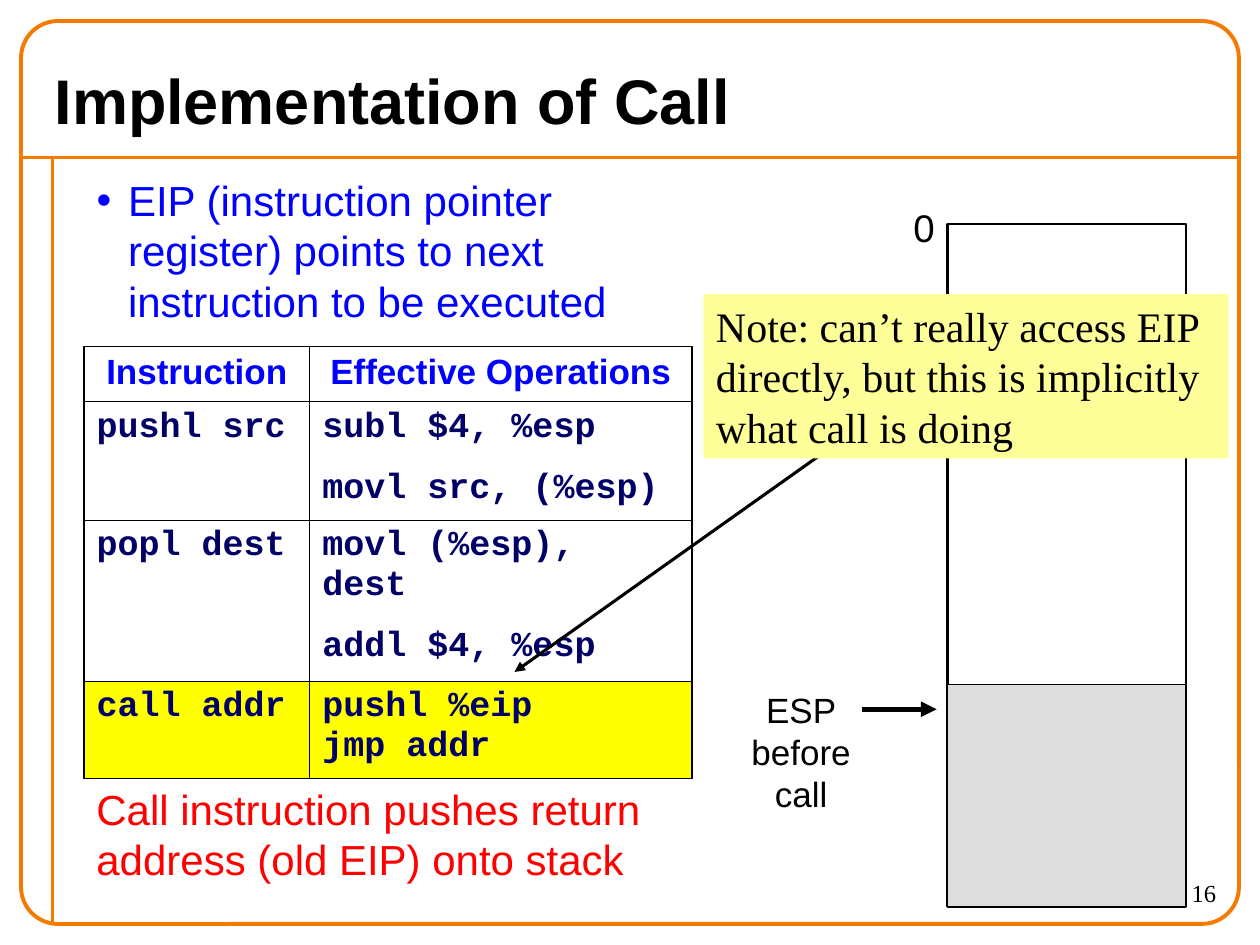
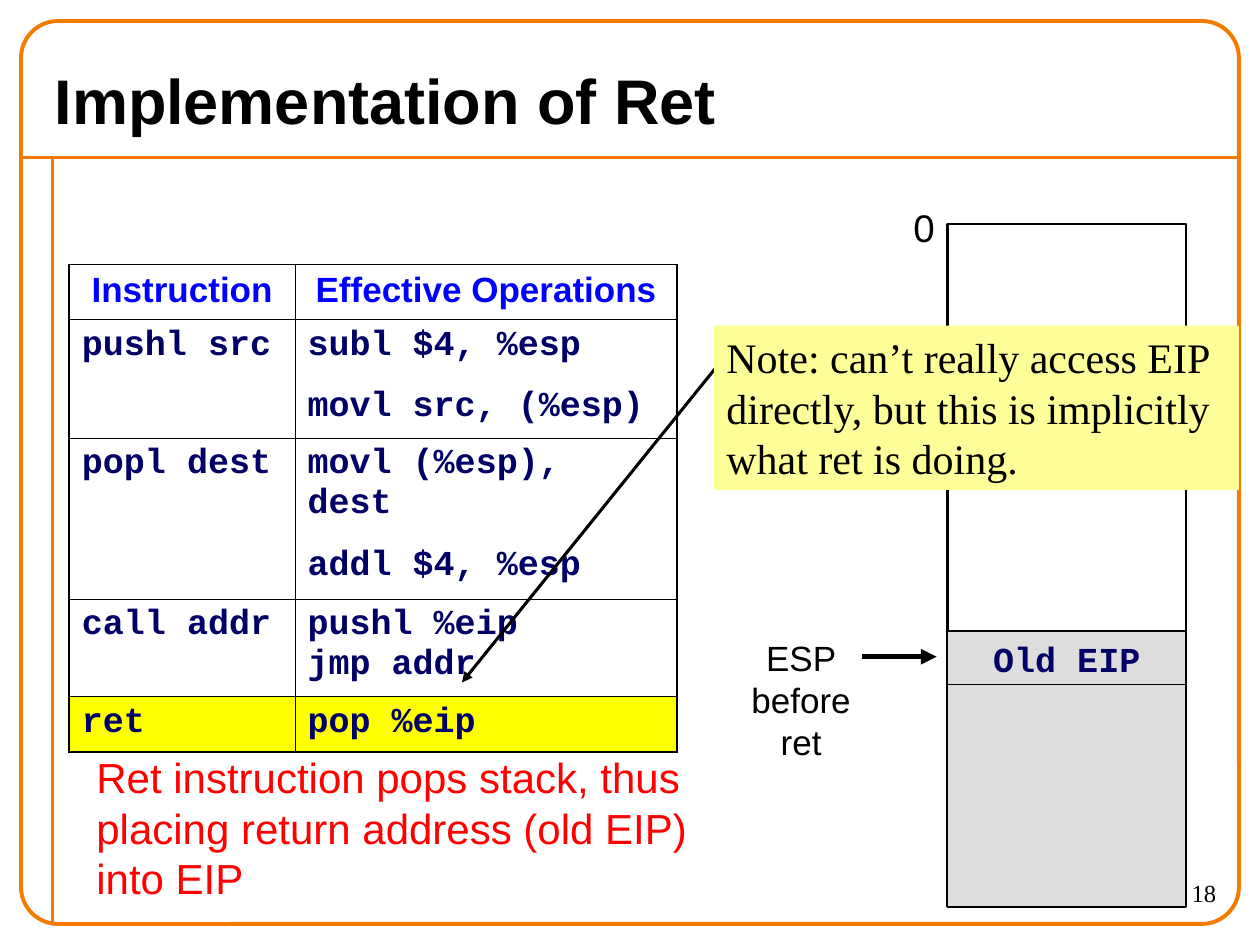
from dataclasses import dataclass

from lxml.etree import SubElement
from pptx import Presentation
from pptx.dml.color import RGBColor
from pptx.enum.shapes import MSO_CONNECTOR as Connector, MSO_SHAPE as Preset
from pptx.enum.text import MSO_ANCHOR as Anchor, MSO_AUTO_SIZE as AutoSize, PP_ALIGN as Align
from pptx.oxml.ns import qn
from pptx.util import Inches, Pt


@dataclass(frozen=True)
class TextStyle:
    size: float
    font: str
    color: str
    bold: bool = False


class Theme:
    orange, black, gray = "F47A00", "000000", "DDDDDD"
    yellow, pale_yellow = "FFFF00", "FFFF99"
    title = TextStyle(36, "Arial", black, True)
    bullet = TextStyle(24, "Arial", "0000FF")
    summary = TextStyle(24, "Arial", "FF0000")
    note = TextStyle(24, "Times New Roman", black)
    number = TextStyle(14, "Times New Roman", black)
    header = TextStyle(20, "Arial", "0000FF", True)
    code = TextStyle(20, "Courier New", "000066", True)
    label = TextStyle(20, "Arial", black)
    origin = TextStyle(22, "Arial", black)
    outer_border, inner_border = 1.08, 0.45
    code_gap = 12.5


# The slide is a grid of 120 columns by 90 rows
SLIDE_WIDTH, SLIDE_HEIGHT = Inches(10), Inches(7.5)
CELL = SLIDE_WIDTH / 120

STACK_LEFT, STACK_WIDTH = 90.25, 22.7
STACK_TOP, STACK_BOTTOM = 21.35, 86.35
USED_TOP = 65.2
EIP_HEIGHT = 5.1
COLUMN_WIDTHS = (21.5, 36.4)

# Instruction, its operations (one paragraph each), row height
INSTRUCTIONS = [
    ("pushl src", ["subl $4, %esp", "movl src, (%esp)"], 11.3),
    ("popl dest", ["movl (%esp), dest", "addl $4, %esp"], 15.35),
    ("call addr", ["pushl %eip\njmp addr"], 9.25),
    ("ret", ["pop %eip"], 5.25),
]
HEADER = ("Instruction", ["Effective Operations"], 5.25)


def grid(*counts):
    return [round(count * CELL) for count in counts]


def rgb(color):
    return RGBColor.from_string(color)


# Text
def write(text_frame, paragraphs, style, align=Align.LEFT, space_before=0):
    for index, text in enumerate(paragraphs):
        paragraph = text_frame.paragraphs[0] if index == 0 else text_frame.add_paragraph()
        paragraph.alignment = align
        paragraph.space_before = Pt(space_before)
        for line_index, line in enumerate(text.split("\n")):
            if line_index:
                paragraph.add_line_break()
            run = paragraph.add_run()
            run.text = line
            run.font.size = Pt(style.size)
            run.font.name = style.font
            run.font.bold = style.bold
            run.font.color.rgb = rgb(style.color)


def add_text(slide, box, text, style, align=Align.LEFT, space_before=0):
    text_frame = slide.shapes.add_textbox(*grid(*box)).text_frame
    text_frame.word_wrap = True
    write(text_frame, [text], style, align, space_before)


def fill_placeholder(placeholder, box, text, style, anchor):
    placeholder.left, placeholder.top, placeholder.width, placeholder.height = grid(*box)
    text_frame = placeholder.text_frame
    text_frame.auto_size = AutoSize.NONE
    text_frame.vertical_anchor = anchor
    write(text_frame, [text], style)
    return text_frame


def add_bullet(paragraph, color):
    properties = paragraph._p.get_or_add_pPr()
    indent = Inches(0.25)
    properties.set("marL", str(indent))
    properties.set("indent", str(-indent))
    bullet_color = SubElement(properties, qn("a:buClr"))
    SubElement(bullet_color, qn("a:srgbClr"), val=color)
    SubElement(properties, qn("a:buChar"), char="•")


# Shapes and lines
def add_box(slide, box, fill=None, line=None, width=0.75, preset=Preset.RECTANGLE):
    shape = slide.shapes.add_shape(preset, *grid(*box))
    shape.shadow.inherit = False
    if fill:
        shape.fill.solid()
        shape.fill.fore_color.rgb = rgb(fill)
    else:
        shape.fill.background()
    if line:
        shape.line.color.rgb = rgb(line)
        shape.line.width = Pt(width)
    else:
        shape.line.fill.background()
    shape.text_frame.vertical_anchor = Anchor.TOP
    return shape


def add_line(slide, start, end, color, width, arrow=False):
    connector = slide.shapes.add_connector(Connector.STRAIGHT, *grid(*start, *end))
    connector.line.color.rgb = rgb(color)
    connector.line.width = Pt(width)
    if arrow:
        SubElement(connector.line._get_or_add_ln(), qn("a:tailEnd"), type="triangle")
    SubElement(connector.element.spPr, qn("a:effectLst"))
    return connector


# Instruction table
def set_borders(cell, outer_sides):
    properties = cell._tc.get_or_add_tcPr()
    for side in "LRTB":
        width = Theme.outer_border if side in outer_sides else Theme.inner_border
        border = SubElement(properties, qn(f"a:ln{side}"), w=str(Pt(width)))
        fill = SubElement(border, qn("a:solidFill"))
        SubElement(fill, qn("a:srgbClr"), val=Theme.black)


def add_instruction_table(slide, left, top, instructions):
    rows = [HEADER, *instructions]
    last = len(rows) - 1
    size = sum(COLUMN_WIDTHS), sum(height for _, _, height in rows)
    table = slide.shapes.add_table(len(rows), 2, *grid(left, top, *size)).table
    table.first_row = table.horz_banding = False
    for column, width in zip(table.columns, grid(*COLUMN_WIDTHS)):
        column.width = width
    for row, (instruction, operations, height) in enumerate(rows):
        table.rows[row].height = grid(height)[0]
        style, align = (Theme.code, Align.LEFT) if row else (Theme.header, Align.CENTER)
        for column, paragraphs in enumerate(([instruction], operations)):
            cell = table.cell(row, column)
            set_borders(cell, "LR"[column] + ("T" if row == 0 else "B" if row == last else ""))
            if row == last:
                cell.fill.solid()
                cell.fill.fore_color.rgb = rgb(Theme.yellow)
            else:
                cell.fill.background()
            write(cell.text_frame, paragraphs, style, align, Theme.code_gap)


# Stack diagram
def add_stack(slide, pointer_label, pointer_top):
    add_box(slide, (STACK_LEFT, STACK_TOP, STACK_WIDTH, STACK_BOTTOM - STACK_TOP),
            line=Theme.black, width=1.5)
    add_text(slide, (66, pointer_top, 20.6, 13.2), pointer_label, Theme.label,
             Align.CENTER, Theme.code_gap)
    arrow_row = pointer_top + 2.55
    add_line(slide, (82.1, arrow_row), (89.2, arrow_row), Theme.black, 3, arrow=True)
    add_box(slide, (STACK_LEFT, USED_TOP, STACK_WIDTH, STACK_BOTTOM - USED_TOP),
            Theme.gray, Theme.black)
    add_text(slide, (84.2, 18.8, 7.6, 5.6), "0", Theme.origin, Align.CENTER)


def add_old_eip(slide):
    shape = add_box(slide, (STACK_LEFT, USED_TOP - EIP_HEIGHT, STACK_WIDTH, EIP_HEIGHT),
                    Theme.gray, Theme.black)
    write(shape.text_frame, ["Old EIP"], Theme.code, Align.CENTER, Theme.code_gap)


def add_note(slide, left, top, text, arrow_start, arrow_end):
    add_line(slide, arrow_start, arrow_end, Theme.black, 1.75, arrow=True)
    note = add_box(slide, (left, top, 50, 15.65), Theme.pale_yellow)
    write(note.text_frame, [text], Theme.note)


# Shared slide parts
def move_frame_to_master(presentation, slide):
    frame = add_box(slide, (2, 2, 116, 86), line=Theme.orange, width=2.25,
                    preset=Preset.ROUNDED_RECTANGLE)
    frame.adjustments[0] = 0.041
    title_rule = add_line(slide, (2, 15), (118, 15), Theme.orange, 2.25)
    margin_rule = add_line(slide, (5, 15), (5, 88), Theme.orange, 2.25)
    master_tree = presentation.slide_master.element.cSld.spTree
    for shape_id, shape in enumerate((title_rule, margin_rule, frame), start=101):
        shape.element.xpath(".//p:cNvPr")[0].set("id", str(shape_id))
        master_tree.append(shape.element)


def start_slide(presentation, layout_index, title, number):
    slide = presentation.slides.add_slide(presentation.slide_layouts[layout_index])
    fill_placeholder(slide.shapes.title, (4, 5, 112, 9), title, Theme.title, Anchor.MIDDLE)
    add_text(slide, (105, 83, 12, 5), str(number), Theme.number, Align.RIGHT)
    return slide


def build_call_slide(presentation):
    slide = start_slide(presentation, 1, "Implementation of Call", 16)
    move_frame_to_master(presentation, slide)
    body = fill_placeholder(
        slide.placeholders[1], (8, 16, 59, 15.6),
        "EIP (instruction pointer register) points to next instruction to be executed",
        Theme.bullet, Anchor.TOP)
    add_bullet(body.paragraphs[0], Theme.bullet.color)
    add_instruction_table(slide, 8, 33, INSTRUCTIONS[:3])
    add_stack(slide, "ESP\nbefore\ncall", 65)
    add_note(slide, 67, 28,
             "Note: can’t really access EIP directly, but this is implicitly what call is doing",
             (80, 42), (49, 64))
    add_text(slide, (8, 74, 62.5, 10.8),
             "Call instruction pushes return address (old EIP) onto stack", Theme.summary)


def build_ret_slide(presentation):
    slide = start_slide(presentation, 5, "Implementation of Ret", 18)
    add_instruction_table(slide, 6.6, 25.2, INSTRUCTIONS)
    add_stack(slide, "ESP\nbefore\nret", 60)
    add_note(slide, 68, 31,
             "Note: can’t really access EIP directly, but this is implicitly what ret is doing.",
             (69, 34), (44, 65))
    add_old_eip(slide)
    add_text(slide, (8, 71, 62.5, 15.6),
             "Ret instruction pops stack, thus placing return address (old EIP) into EIP",
             Theme.summary)


def main():
    presentation = Presentation()
    presentation.slide_width, presentation.slide_height = SLIDE_WIDTH, SLIDE_HEIGHT
    build_call_slide(presentation)
    build_ret_slide(presentation)
    presentation.save("out.pptx")


if __name__ == "__main__":
    main()
